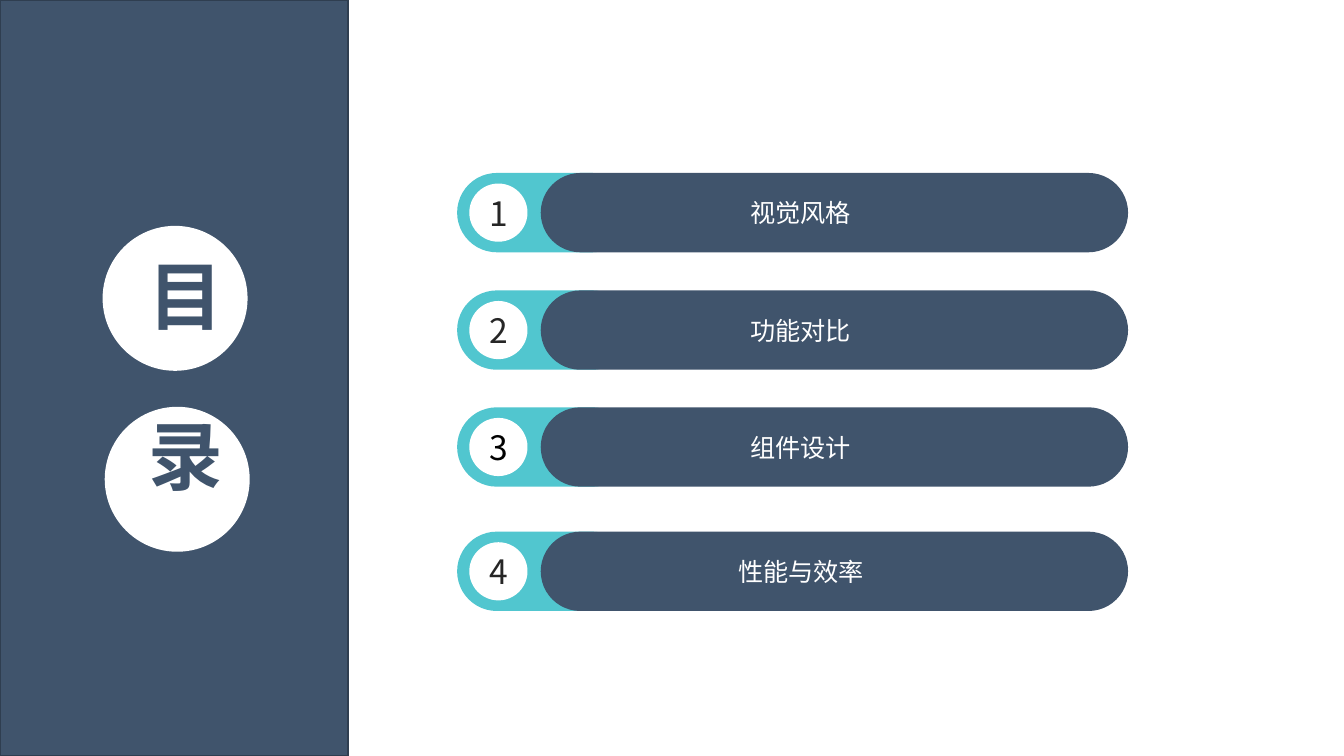
from lxml.etree import SubElement
from pptx import Presentation
from pptx.dml.color import RGBColor
from pptx.enum.shapes import MSO_SHAPE
from pptx.enum.text import MSO_ANCHOR, PP_ALIGN
from pptx.oxml.ns import qn
from pptx.util import Cm, Pt

NAVY = RGBColor(0x40, 0x54, 0x6C)
EDGE = RGBColor(0x2F, 0x3E, 0x50)
TEAL = RGBColor(0x51, 0xC6, 0xCF)
WHITE = RGBColor(0xFF, 0xFF, 0xFF)
DARK = RGBColor(0x26, 0x26, 0x26)
BLACK = RGBColor(0, 0, 0)
FACE = "Noto Sans CJK SC"

# Content: top in cm, number, number colour, label
ROWS = [
    (3.27, "1", DARK, "视觉风格"),
    (5.49, "2", DARK, "功能对比"),
    (7.70, "3", BLACK, "组件设计"),
    (10.05, "4", DARK, "性能与效率"),
]
# Title: character, its top, disc left, disc top
TITLE = [("目", 4.55, 1.94, 4.27), ("录", 7.57, 1.98, 7.69)]

# Sizes in cm
WIDE, HIGH = 25.4, 14.29
PILL = 1.5    # bar height
DOT = 1.1     # number disc
DISC = 2.74   # title disc

# Text formats
NUM = {"size": Pt(18), "bold": False}
LABEL = {"size": Pt(13.5), "bold": False}
HEAD = {"size": Pt(40), "bold": True}


def draw(home, kind, box, fill, edge=None):
    shape = home.add_shape(kind, *map(Cm, box))
    shape.shadow.inherit = False
    shape.fill.solid()
    shape.fill.fore_color.rgb = fill
    if edge is None:
        shape.line.fill.background()
    else:
        shape.line.color.rgb = edge
        shape.line.width = Pt(1)
    if kind == MSO_SHAPE.ROUNDED_RECTANGLE:
        shape.adjustments[0] = 0.5


def write(home, box, text, color, style, wrap=True):
    frame = home.add_textbox(*map(Cm, box)).text_frame
    form = {"word_wrap": wrap, "vertical_anchor": MSO_ANCHOR.MIDDLE,
            "margin_left": 0, "margin_right": 0,
            "margin_top": 0, "margin_bottom": 0}
    for key, value in form.items():
        setattr(frame, key, value)
    para = frame.paragraphs[0]
    para.alignment = PP_ALIGN.CENTER
    run = para.add_run()
    run.text = text
    for key, value in {"name": FACE, **style}.items():
        setattr(run.font, key, value)
    run.font.color.rgb = color
    # East Asian face
    SubElement(run.font._element, qn("a:ea")).set("typeface", FACE)


deck = Presentation()
deck.slide_width, deck.slide_height = Cm(WIDE), Cm(HIGH)
slide = deck.slides.add_slide(deck.slide_layouts[6])

# Agenda rows, one group each
for top, num, color, label in ROWS:
    home = slide.shapes.add_group_shape().shapes
    inset = top + (PILL - DOT) / 2
    draw(home, MSO_SHAPE.ROUNDED_RECTANGLE, (8.64, top, 3.3, PILL), TEAL)
    draw(home, MSO_SHAPE.ROUNDED_RECTANGLE, (10.22, top, 11.1, PILL), NAVY)
    draw(home, MSO_SHAPE.OVAL, (8.87, inset, DOT, DOT), WHITE)
    write(home, (8.97, top + 0.24, 0.9, 1.02), num, color, NUM, False)
    write(home, (10.69, top + 0.33, 8.89, 0.84), label, WHITE, LABEL)

# Side panel with title discs
home = slide.shapes
draw(home, MSO_SHAPE.RECTANGLE, (0, 0, 6.58, HIGH), NAVY, EDGE)
for char, top, left, disc in TITLE:
    draw(home, MSO_SHAPE.OVAL, (left, disc, DISC, DISC), WHITE)
for char, top, left, disc in TITLE:
    write(home, (2.39, top, 2.24, 2.04), char, NAVY, HEAD, False)

deck.save("out.pptx")
